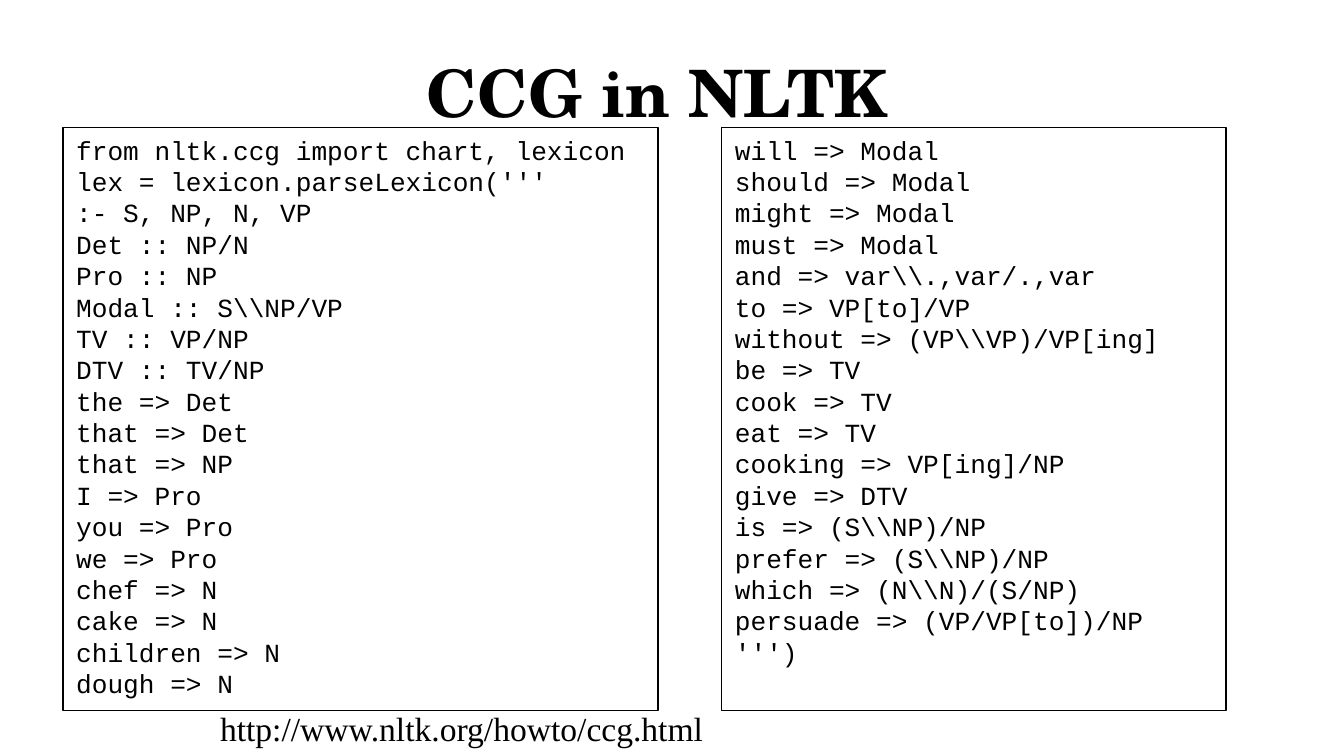
from pptx import Presentation
from pptx.dml.color import RGBColor
from pptx.enum.shapes import MSO_SHAPE as Shape
from pptx.enum.text import MSO_ANCHOR as Anchor, MSO_AUTO_SIZE as AutoSize, PP_ALIGN as Align
from pptx.util import Cm, Pt

BLACK = RGBColor(0, 0, 0)

DECLARATIONS = r"""from nltk.ccg import chart, lexicon
lex = lexicon.parseLexicon('''
:- S, NP, N, VP
Det :: NP/N
Pro :: NP
Modal :: S\\NP/VP
TV :: VP/NP
DTV :: TV/NP
the => Det
that => Det
that => NP
I => Pro
you => Pro
we => Pro
chef => N
cake => N
children => N
dough => N"""

LEXICON = r"""will => Modal
should => Modal
might => Modal
must => Modal
and => var\\.,var/.,var
to => VP[to]/VP
without => (VP\\VP)/VP[ing]
be => TV
cook => TV
eat => TV
cooking => VP[ing]/NP
give => DTV
is => (S\\NP)/NP
prefer => (S\\NP)/NP
which => (N\\N)/(S/NP)
persuade => (VP/VP[to])/NP
''')"""


def write_text(shape, text, font_name, size, align=Align.LEFT, bold=False, spacing=None):
    shape.text_frame.text = text
    for paragraph in shape.text_frame.paragraphs:
        paragraph.alignment = align
        paragraph.line_spacing = spacing
        for run in paragraph.runs:
            run.font.name = font_name
            run.font.size = Pt(size)
            run.font.bold = bold
            run.font.color.rgb = BLACK


def add_title(slide, text):
    title = slide.shapes.title
    title.left, title.top, title.width, title.height = Cm(0.71), Cm(0.84), Cm(23.42), Cm(1.78)
    title.text_frame.vertical_anchor = Anchor.MIDDLE
    write_text(title, text, "TeX Gyre Schola", 35, Align.CENTER, bold=True)


def add_link_text(slide, text):
    box = slide.shapes.add_textbox(Cm(3.91), Cm(13.26), Cm(9.73), Cm(1.02))
    box.text_frame.word_wrap = False
    box.text_frame.auto_size = AutoSize.SHAPE_TO_FIT_TEXT
    write_text(box, text, "Times New Roman", 18)


def add_code_box(slide, left, width, code):
    box = slide.shapes.add_shape(Shape.RECTANGLE, left, Cm(2.41), width, Cm(11.02))
    box.shadow.inherit = False
    box.fill.background()
    box.line.color.rgb = BLACK
    box.line.width = Pt(0.75)
    box.text_frame.word_wrap = True
    box.text_frame.vertical_anchor = Anchor.TOP
    write_text(box, code, "Courier New", 14, spacing=Pt(16.8))


def main():
    presentation = Presentation()
    presentation.slide_width, presentation.slide_height = Cm(25.4), Cm(14.29)
    slide = presentation.slides.add_slide(presentation.slide_layouts[5])

    # Heading and source address
    add_title(slide, "CCG in NLTK")
    add_link_text(slide, "http://www.nltk.org/howto/ccg.html")

    # Code in two columns
    add_code_box(slide, Cm(1.19), Cm(11.25), DECLARATIONS)
    add_code_box(slide, Cm(13.64), Cm(9.53), LEXICON)

    presentation.save("out.pptx")


main()
